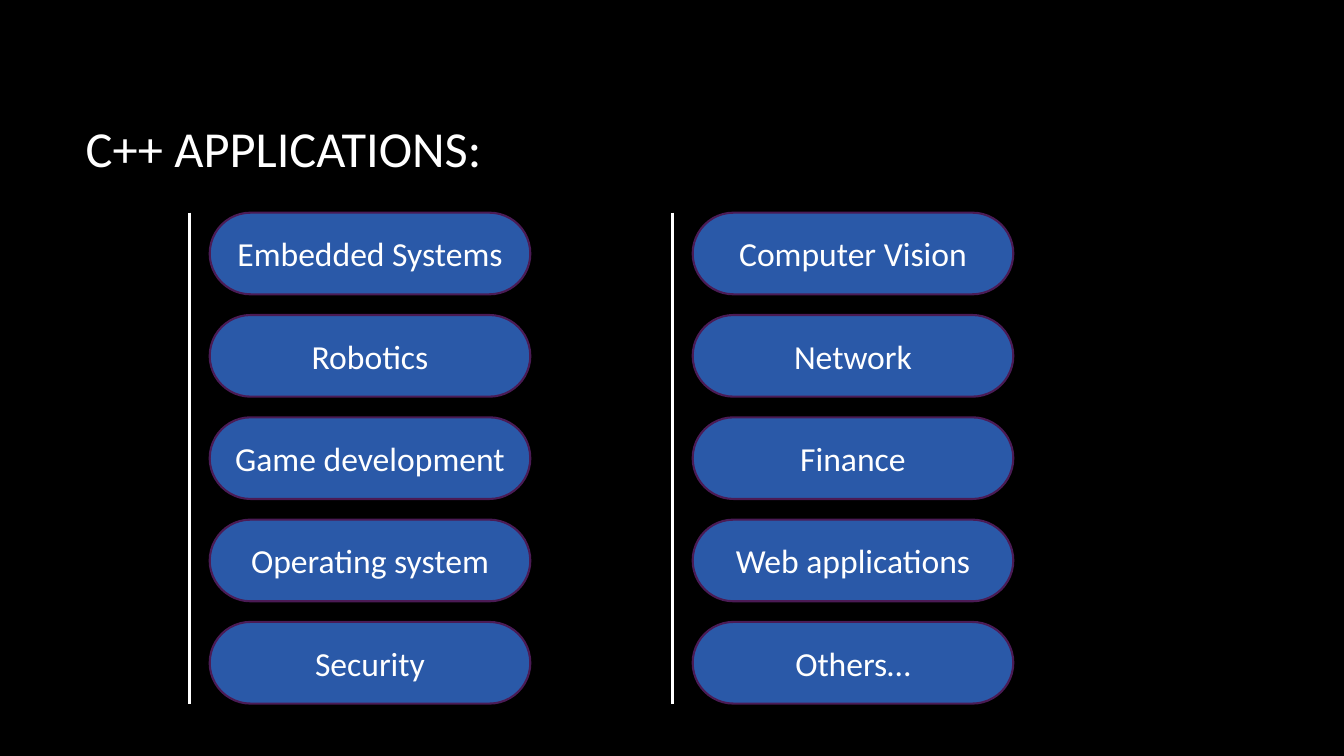
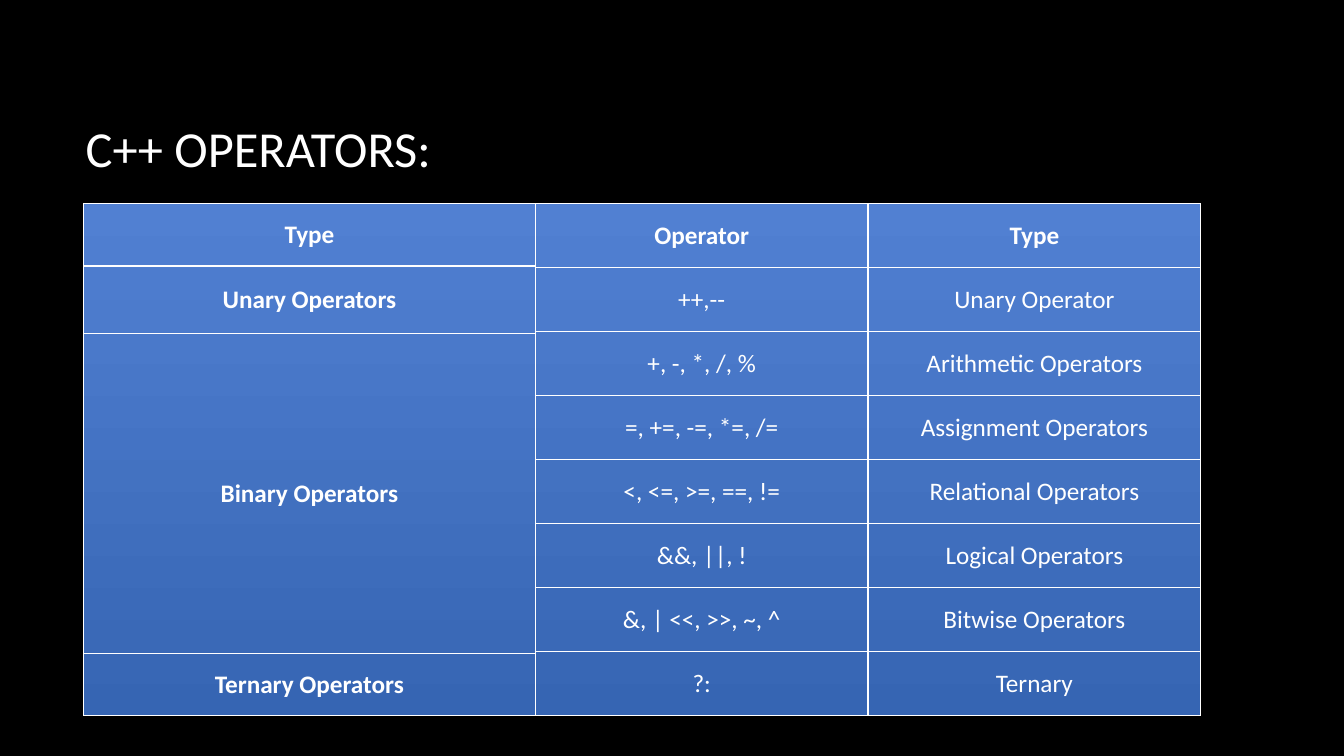
"""Build two C++ slides: application areas and operator types."""
from dataclasses import dataclass

from lxml import etree
from pptx import Presentation
from pptx import util as u
from pptx.dml.color import RGBColor
from pptx.enum import shapes, text
from pptx.oxml import ns


@dataclass(frozen=True)
class Theme:
    font: str = "Calibri"
    background: str = "000000"
    ink: str = "FFFFFF"
    pill_fill: str = "2A59A8"
    pill_line: str = "4B1B55"
    panel_top: str = "5180D2"
    panel_bottom: str = "3665B3"
    title_size: int = 36
    pill_size: int = 24
    table_size: int = 18
    pill_border: float = 1.5
    rule_border: float = 2
    cell_border: float = 1


@dataclass(frozen=True)
class PillColumn:
    left: float
    labels: tuple[str, ...]


@dataclass(frozen=True)
class OperatorGroup:
    label: str
    height: float


THEME = Theme()

PILL_TOP, PILL_BOTTOM = 2.11, 6.98
PILL_WIDTH, PILL_HEIGHT = 3.18, 0.81
RULE_OFFSET = 0.2
PILL_COLUMNS = (
    PillColumn(2.08, ("Embedded Systems", "Robotics", "Game development",
                      "Operating system", "Security")),
    PillColumn(6.87, ("Computer Vision", "Network", "Finance",
                      "Web applications", "Others…")),
)

PANEL_LEFT, PANEL_TOP = 0.83, 2.02
PANEL_WIDTH, PANEL_HEIGHT = 11.08, 5.08
GROUP_WIDTH = 4.48
OPERATOR_GROUPS = (
    OperatorGroup("Type", 0.62),
    OperatorGroup("Unary Operators", 0.67),
    OperatorGroup("Binary Operators", 3.17),
    OperatorGroup("Ternary Operators", 0.62),
)
OPERATOR_ROWS = (
    ("Operator", "Type"),
    ("++,--", "Unary Operator"),
    ("+, -, *, /, %", "Arithmetic Operators"),
    ("=, +=, -=, *=, /=", "Assignment Operators"),
    ("<, <=, >=, ==, !=", "Relational Operators"),
    ("&&, ||, !", "Logical Operators"),
    ("&, | <<, >>, ~, ^", "Bitwise Operators"),
    ("?:", "Ternary"),
)


def color(value: str) -> RGBColor:
    return RGBColor.from_string(value)


def write(frame, label: str, size: int, align=text.PP_ALIGN.CENTER, bold: bool = False) -> None:
    frame.text = label
    paragraph = frame.paragraphs[0]
    paragraph.alignment = align
    font = paragraph.font
    font.name, font.size, font.bold = THEME.font, u.Pt(size), bold
    font.color.rgb = color(THEME.ink)


def add_titled_slide(presentation, title: str):
    slide = presentation.slides.add_slide(presentation.slide_layouts.get_by_name("Title Only"))
    shape = slide.shapes.title
    shape.left, shape.top = u.Inches(0.75), u.Inches(0.67)
    shape.width, shape.height = u.Inches(11.08), u.Inches(1.59)
    shape.text_frame.vertical_anchor = text.MSO_ANCHOR.MIDDLE
    write(shape.text_frame, title, THEME.title_size, text.PP_ALIGN.LEFT)
    return slide


def add_box(slide, preset, left: float, top: float, width: float, height: float):
    shape = slide.shapes.add_shape(
        preset, u.Inches(left), u.Inches(top), u.Inches(width), u.Inches(height))
    shape.shadow.inherit = False
    return shape


def add_pill(slide, left: float, top: float, label: str) -> None:
    shape = add_box(slide, shapes.MSO_SHAPE.ROUNDED_RECTANGLE, left, top, PILL_WIDTH, PILL_HEIGHT)
    shape.adjustments[0] = 0.5
    shape.fill.solid()
    shape.fill.fore_color.rgb = color(THEME.pill_fill)
    shape.line.color.rgb = color(THEME.pill_line)
    shape.line.width = u.Pt(THEME.pill_border)
    write(shape.text_frame, label, THEME.pill_size)


def add_rule(slide, left: float) -> None:
    rule = slide.shapes.add_connector(
        shapes.MSO_CONNECTOR.STRAIGHT,
        u.Inches(left), u.Inches(PILL_TOP), u.Inches(left), u.Inches(PILL_BOTTOM))
    rule.line.color.rgb = color(THEME.ink)
    rule.line.width = u.Pt(THEME.rule_border)
    etree.SubElement(rule.element.spPr, ns.qn("a:effectLst"))


def add_pill_column(slide, column: PillColumn) -> None:
    pitch = (PILL_BOTTOM - PILL_TOP - PILL_HEIGHT) / (len(column.labels) - 1)
    for index, label in enumerate(column.labels):
        add_pill(slide, column.left, PILL_TOP + index * pitch, label)
    add_rule(slide, column.left - RULE_OFFSET)


def add_panel(slide) -> None:
    panel = add_box(slide, shapes.MSO_SHAPE.RECTANGLE,
                    PANEL_LEFT, PANEL_TOP, PANEL_WIDTH, PANEL_HEIGHT)
    panel.fill.gradient()
    panel.fill.gradient_angle = 270
    for stop, value in zip(panel.fill.gradient_stops, (THEME.panel_top, THEME.panel_bottom)):
        stop.color.rgb = color(value)
    panel.line.fill.background()


def outline_cell(cell) -> None:
    properties = cell._tc.get_or_add_tcPr()
    for index, side in enumerate(("lnL", "lnR", "lnT", "lnB")):
        border = etree.Element(ns.qn(f"a:{side}"), w=str(u.Pt(THEME.cell_border)))
        fill = etree.SubElement(border, ns.qn("a:solidFill"))
        etree.SubElement(fill, ns.qn("a:srgbClr"), val=THEME.ink)
        properties.insert(index, border)


def add_grid(slide, left: float, top: float, width: float, height: float,
             rows: tuple[tuple[str, ...], ...]) -> None:
    table = slide.shapes.add_table(
        len(rows), len(rows[0]),
        u.Inches(left), u.Inches(top), u.Inches(width), u.Inches(height)).table
    table.first_row = table.horz_banding = False
    for row_index, labels in enumerate(rows):
        for column_index, label in enumerate(labels):
            cell = table.cell(row_index, column_index)
            cell.fill.background()
            cell.vertical_anchor = text.MSO_ANCHOR.MIDDLE
            outline_cell(cell)
            write(cell.text_frame, label, THEME.table_size, bold=row_index == 0)


def build_applications(presentation) -> None:
    slide = add_titled_slide(presentation, "C++ APPLICATIONS:")
    for column in PILL_COLUMNS:
        add_pill_column(slide, column)


def build_operators(presentation) -> None:
    slide = add_titled_slide(presentation, "C++ OPERATORS:")
    add_panel(slide)
    add_grid(slide, PANEL_LEFT + GROUP_WIDTH, PANEL_TOP,
             PANEL_WIDTH - GROUP_WIDTH, PANEL_HEIGHT, OPERATOR_ROWS)
    top = PANEL_TOP
    for group in OPERATOR_GROUPS:
        add_grid(slide, PANEL_LEFT, top, GROUP_WIDTH, group.height, ((group.label,),))
        top += group.height


def main() -> None:
    presentation = Presentation()
    presentation.slide_width, presentation.slide_height = u.Inches(13.33), u.Inches(7.5)
    background = presentation.slide_master.background.fill
    background.solid()
    background.fore_color.rgb = color(THEME.background)
    build_applications(presentation)
    build_operators(presentation)
    presentation.save("out.pptx")


if __name__ == "__main__":
    main()
